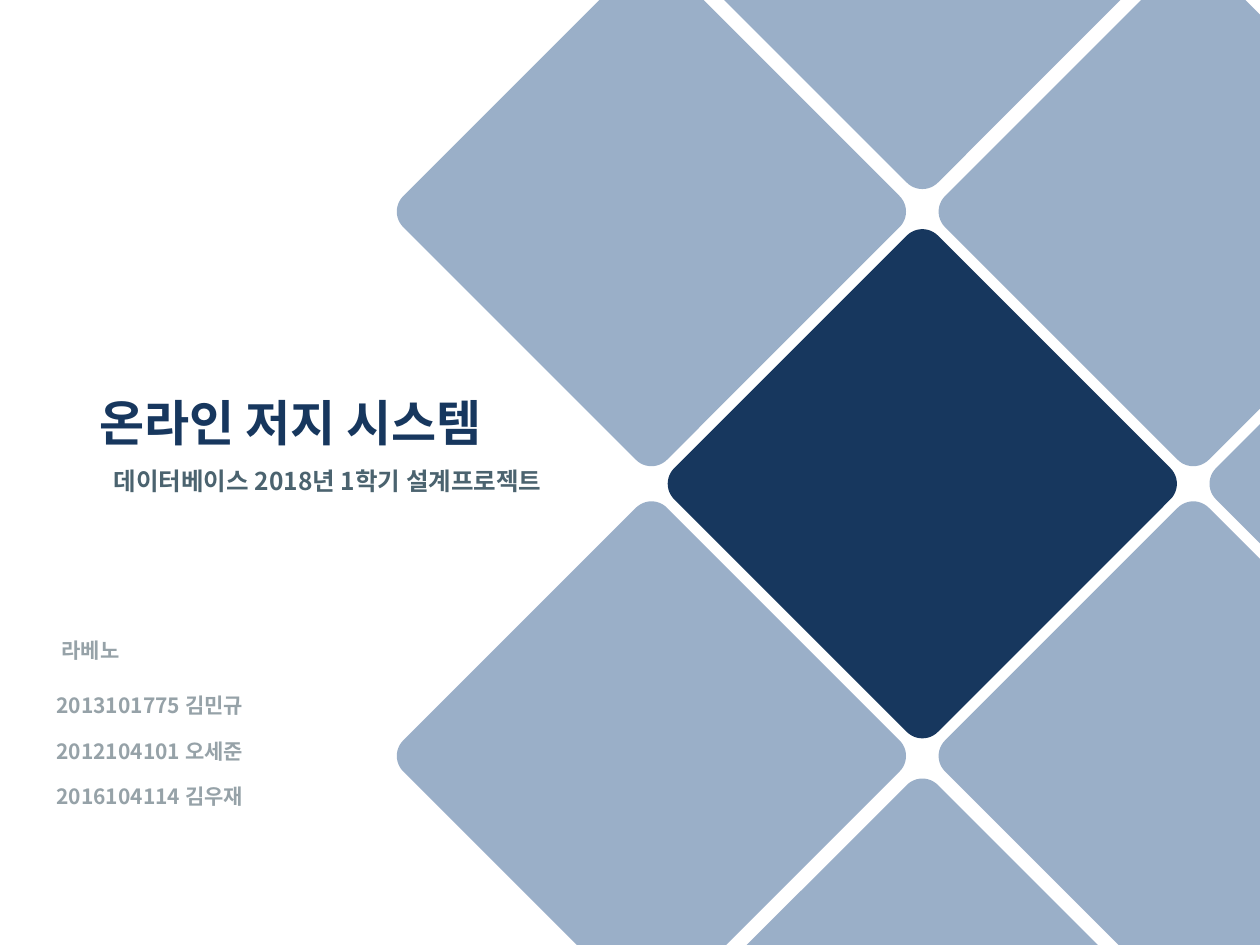
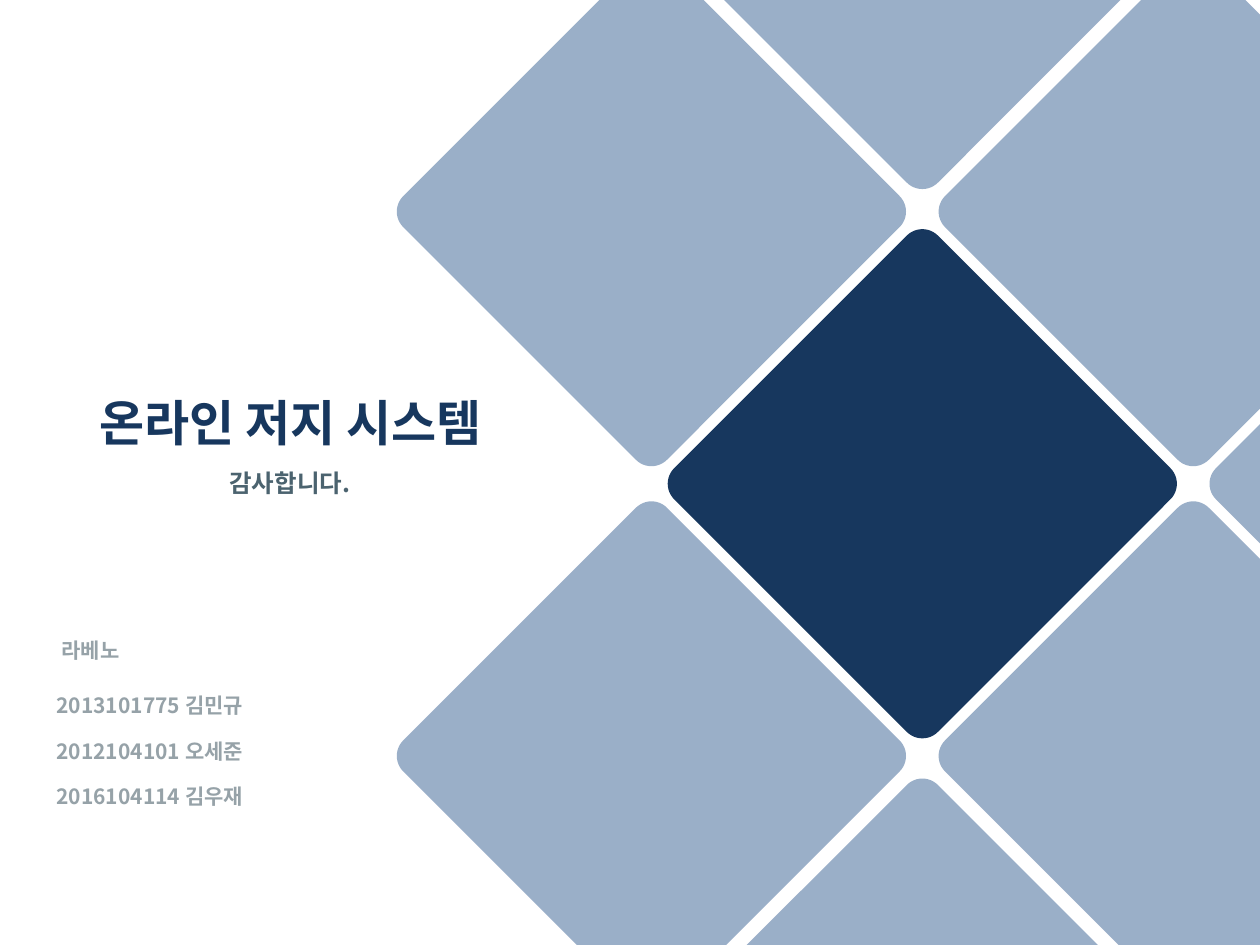
from lxml.etree import SubElement
from pptx import Presentation
from pptx.dml.color import RGBColor
from pptx.enum.shapes import MSO_SHAPE
from pptx.enum.text import MSO_ANCHOR, MSO_AUTO_SIZE, PP_ALIGN
from pptx.oxml.ns import qn
from pptx.util import Inches, Pt

FONT = "Noto Sans CJK KR"
NAVY, BLUE, TITLE_EDGE = "17375E", "376092", "002776"
SLATE, GRAY = "4B636F", "96A2A8"

TILE_SIZE = 2.96
CENTER_TILE = (5.84, 2.36)
TILE_OFFSETS = [(x, y) for x in (-2.15, 2.15) for y in (-2.16, 2.16)]
TILE_OFFSETS += [(0, -4.36), (0, 4.36), (4.3, 0)]

TITLE = "온라인 저지 시스템"
TEAM = "라베노"
MEMBERS = ["2013101775 김민규", "2012104101 오세준", "2016104114 김우재"]


def rgb(value):
    return RGBColor.from_string(value)


def add_alpha(fill_element, percent):
    SubElement(fill_element[0], qn("a:alpha"), val=str(percent * 1000))


def outline_text(run, color):
    properties = run.font._element
    line = properties.makeelement(qn("a:ln"), {"w": str(Pt(0.75))})
    properties.insert(0, line)
    fill = SubElement(line, qn("a:solidFill"))
    SubElement(fill, qn("a:srgbClr"), val=color)
    add_alpha(fill, 30)


def write_text(shape, text, box, size=12, color=GRAY, edge=None,
               align=PP_ALIGN.LEFT, anchor=MSO_ANCHOR.TOP, spacing=1.0):
    shape.left, shape.top, shape.width, shape.height = map(Inches, box)
    frame = shape.text_frame
    frame.word_wrap = True
    frame.auto_size = MSO_AUTO_SIZE.NONE
    frame.vertical_anchor = anchor
    paragraph = frame.paragraphs[0]
    paragraph.alignment = align
    paragraph.line_spacing = spacing
    paragraph.space_before = Pt(0)
    run = paragraph.add_run()
    run.text = text
    run.font.name = FONT
    run.font.size = Pt(size)
    run.font.bold = True
    run.font.color.rgb = rgb(color)
    SubElement(run.font._element, qn("a:ea"), typeface=FONT)
    outline_text(run, edge or color)


def add_tile(slide, left, top, color, opacity=100):
    tile = slide.shapes.add_shape(
        MSO_SHAPE.ROUNDED_RECTANGLE,
        *map(Inches, (left, top, TILE_SIZE, TILE_SIZE)))
    tile.adjustments[0] = 0.059
    tile.rotation = 45
    tile.shadow.inherit = False
    tile.line.fill.background()
    tile.fill.solid()
    tile.fill.fore_color.rgb = rgb(color)
    if opacity < 100:
        add_alpha(tile._element.spPr.find(qn("a:solidFill")), opacity)


def add_tile_pattern(slide, left, top):
    for x, y in TILE_OFFSETS:
        add_tile(slide, left + x, top + y, BLUE, opacity=50)
    add_tile(slide, left, top, NAVY)


def add_headings(slide, subtitle, subtitle_box):
    centered = dict(align=PP_ALIGN.CENTER, anchor=MSO_ANCHOR.MIDDLE, spacing=1.2)
    write_text(slide.shapes.title, TITLE, (0.17, 2.94, 4.27, 0.73),
               size=28, color=NAVY, edge=TITLE_EDGE, **centered)
    write_text(slide.placeholders[1], subtitle, subtitle_box,
               size=14, color=SLATE, **centered)


def add_team(slide, left, top):
    rows = [(TEAM, left + 0.04, top)]
    rows += [(member, left, top + 0.44 + 0.36 * index)
             for index, member in enumerate(MEMBERS)]
    for text, x, y in rows:
        write_text(slide.shapes.add_textbox(0, 0, 0, 0), text, (x, y, 2.2, 0.3))


def add_cover(presentation, subtitle, subtitle_box):
    slide = presentation.slides.add_slide(presentation.slide_layouts[0])
    add_tile_pattern(slide, *CENTER_TILE)
    add_headings(slide, subtitle, subtitle_box)
    add_team(slide, 0.35, 5.01)


def main():
    presentation = Presentation()
    presentation.slide_width = Inches(10)
    presentation.slide_height = Inches(7.5)
    add_cover(presentation, "데이터베이스 2018년 1학기 설계프로젝트",
              (0.59, 3.62, 4.02, 0.35))
    add_cover(presentation, "감사합니다.", (0.59, 3.62, 3.42, 0.37))
    presentation.save("out.pptx")


if __name__ == "__main__":
    main()
